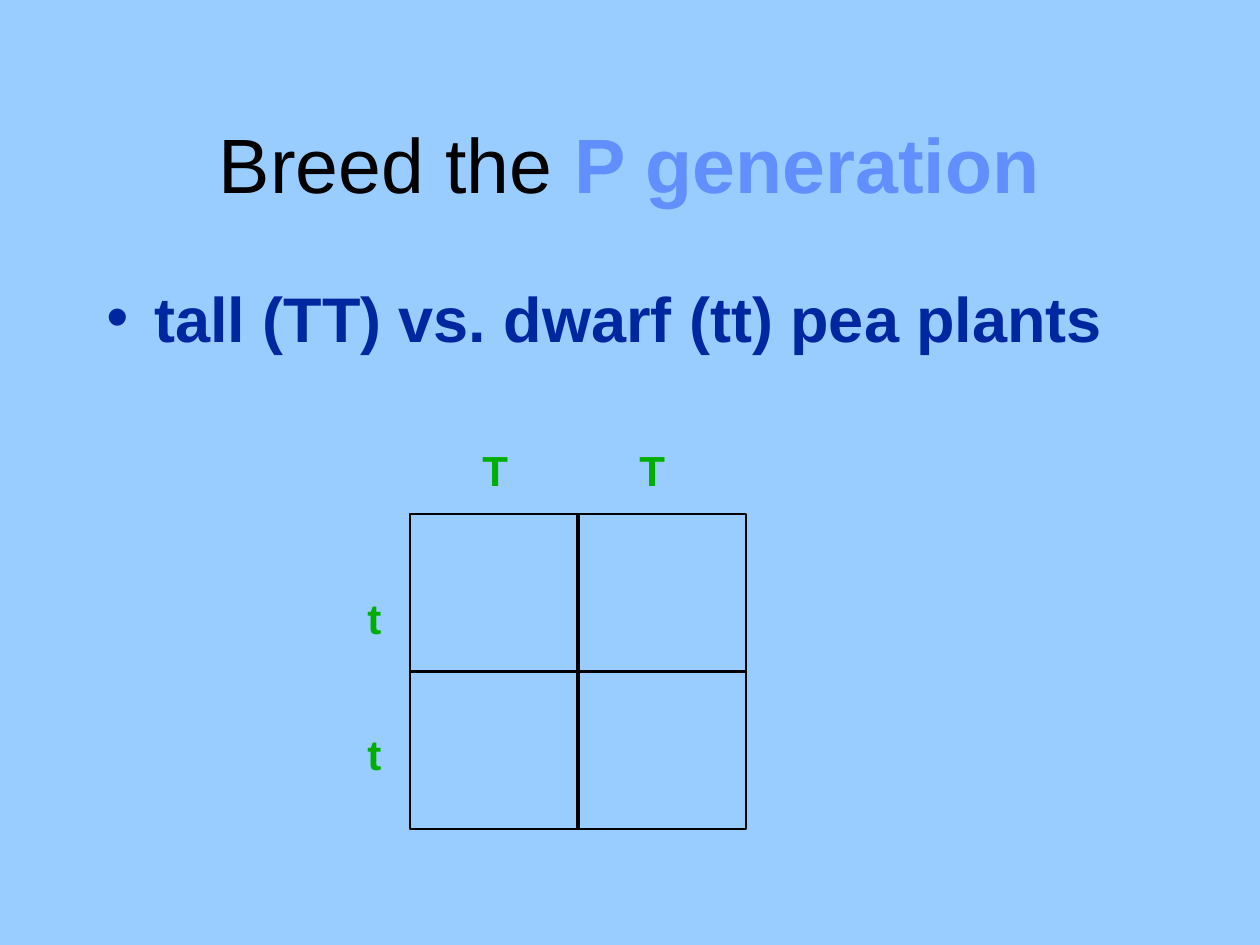
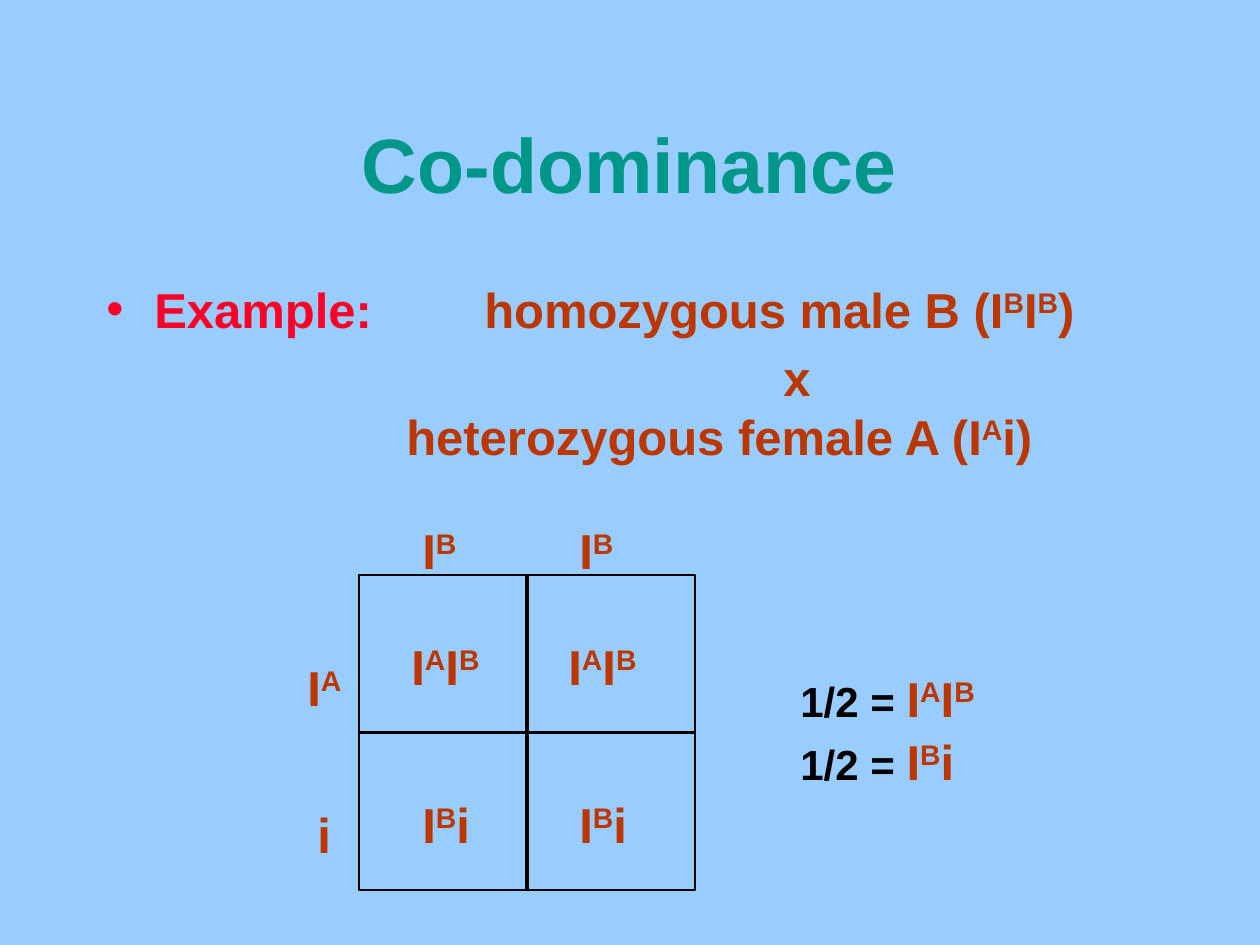
from lxml import etree
from pptx import Presentation
from pptx import util as u
from pptx.dml.color import RGBColor
from pptx.enum import shapes, text
from pptx.oxml.ns import qn

PX = 914400 / 126
FONT = "Arial"
SKY = RGBColor(0x99, 0xCC, 0xFF)
BLACK = RGBColor(0x00, 0x00, 0x00)
PERIWINKLE = RGBColor(0x61, 0x8F, 0xFD)
NAVY = RGBColor(0x00, 0x27, 0x9F)
GREEN = RGBColor(0x00, 0xAE, 0x00)
TEAL = RGBColor(0x00, 0x96, 0x88)
RED = RGBColor(0xFC, 0x01, 0x28)
RUST = RGBColor(0xBC, 0x37, 0x00)
SQUARE_WIDTH, SQUARE_HEIGHT = 336, 315
COLUMN_STEP = 157
HANG = 48


def px(*lengths):
    """Turn px lengths into EMU."""
    return [u.Emu(round(length * PX)) for length in lengths]


def write(paragraph, wording, size=28, color=RUST, bold=True):
    """Add text to a paragraph; parts between carets are superscript."""
    for index, part in enumerate(wording.split("^")):
        if not part:
            continue
        run = paragraph.add_run()
        run.text = part
        run.font.name, run.font.size = FONT, u.Pt(size)
        run.font.bold, run.font.color.rgb = bold, color
        if index % 2:
            run.font._element.set("baseline", "30000")


def add_title(slide, *runs):
    """Place the slide title and write its runs."""
    title = slide.shapes.title
    title.left, title.top, title.width, title.height = px(94, 84, 1071, 158)
    frame = title.text_frame
    frame.auto_size = text.MSO_AUTO_SIZE.NONE
    frame.vertical_anchor = text.MSO_ANCHOR.MIDDLE
    heading = frame.paragraphs[0]
    heading.alignment = text.PP_ALIGN.CENTER
    for wording, options in runs:
        write(heading, wording, size=44, **options)


def add_body(slide):
    """Add the wide text area under the title and return its frame."""
    frame = slide.shapes.add_textbox(*px(94, 273, 1071, 567)).text_frame
    frame.word_wrap = True
    return frame


def indent(paragraph, margin, first=0):
    """Set the left margin and first-line indent of a paragraph."""
    properties = paragraph._p.get_or_add_pPr()
    for key, length in zip(("marL", "indent"), px(margin, first)):
        properties.set(key, str(length))
    return properties


def make_bullet(paragraph, size, tab=None):
    """Give a paragraph a hanging bullet and an optional tab stop."""
    paragraph.space_before = u.Pt(size * 0.2)
    properties = indent(paragraph, HANG, -HANG)
    etree.SubElement(properties, qn("a:buFont"), typeface=FONT)
    etree.SubElement(properties, qn("a:buChar"), char="•")
    if tab:
        stops = etree.SubElement(properties, qn("a:tabLst"))
        etree.SubElement(stops, qn("a:tab"), pos=str(px(tab)[0]), algn="l")


def add_label(slide, left, top, width, *runs, height=71, before=0):
    """Add a one-line text made of (wording, options) runs."""
    frame = slide.shapes.add_textbox(*px(left, top, width, height)).text_frame
    frame.word_wrap = False
    frame.auto_size = text.MSO_AUTO_SIZE.SHAPE_TO_FIT_TEXT
    line = frame.paragraphs[0]
    line.space_before = u.Pt(before)
    for wording, options in runs:
        write(line, wording, **options)


def add_divider(slide, *ends):
    """Draw a black line without shadow between two points."""
    divider = slide.shapes.add_connector(shapes.MSO_CONNECTOR.STRAIGHT, *px(*ends))
    divider.line.color.rgb, divider.line.width = BLACK, u.Pt(2)
    etree.SubElement(divider._element.spPr, qn("a:effectLst"))


def add_punnett_square(slide, left, top):
    """Draw the framed square split into four cells."""
    right, bottom = left + SQUARE_WIDTH, top + SQUARE_HEIGHT
    middle, center = top + SQUARE_HEIGHT / 2, left + SQUARE_WIDTH / 2
    add_divider(slide, center, top, center, bottom)
    add_divider(slide, left, middle, right, middle)
    frame = slide.shapes.add_shape(
        shapes.MSO_SHAPE.RECTANGLE, *px(left, top, SQUARE_WIDTH, SQUARE_HEIGHT))
    frame.fill.background()
    frame.line.color.rgb, frame.line.width = BLACK, u.Pt(1)
    frame.shadow.inherit = False


def build_p_generation(slide):
    """Build the slide on breeding the P generation."""
    add_title(slide, ("Breed the ", dict(color=BLACK, bold=False)),
              ("P generation", dict(color=PERIWINKLE)))
    cross = add_body(slide).paragraphs[0]
    make_bullet(cross, 36)
    write(cross, "tall (TT) vs. dwarf (tt) pea plants", size=36, color=NAVY)

    allele = dict(size=24, color=GREEN)
    for top in (586, 722):
        add_label(slide, 355, top, 39, ("t", allele), height=63)
    for column in range(2):
        add_label(slide, 470 + column * COLUMN_STEP, 438, 50, ("T", allele), height=63)
    add_punnett_square(slide, 410, 514)


def build_codominance(slide):
    """Build the slide on co-dominance of blood types."""
    add_title(slide, ("Co-dominance", dict(color=TEAL)))
    body = add_body(slide)
    male = body.paragraphs[0]
    make_bullet(male, 28, tab=378)
    write(male, "Example:\t", color=RED)
    write(male, "homozygous male B (I^B^I^B^)")
    for wording, margin, before in (("x", 677, 5.6),
                                    ("heterozygous female A (I^A^i)", 300, 0)):
        parent = body.add_paragraph()
        indent(parent, margin)
        parent.space_before = u.Pt(before)
        write(parent, wording)

    for column in range(2):
        shift = column * COLUMN_STEP
        add_label(slide, 410 + shift, 514, 63, ("I^B^", {}))
        add_label(slide, 399 + shift, 630, 101, ("I^A^I^B^", {}), before=5.6)
        add_label(slide, 410 + shift, 788, 76, ("I^B^i", {}), before=5.6)
    add_label(slide, 295, 651, 63, ("I^A^", {}))
    add_label(slide, 305, 798, 39, ("i", {}))

    plain = dict(size=24, color=BLACK)
    add_label(slide, 788, 662, 207, ("1/2 = ", plain), ("I^A^I^B^", {}))
    add_label(slide, 788, 725, 194, ("1/2 = ", plain), ("I^B^i", {}), (" ", plain))
    add_punnett_square(slide, 359, 575)


def main():
    """Build and save the presentation."""
    deck = Presentation()
    deck.slide_width, deck.slide_height = px(1260, 945)
    backdrop = deck.slide_master.background.fill
    backdrop.solid()
    backdrop.fore_color.rgb = SKY
    for build in (build_p_generation, build_codominance):
        build(deck.slides.add_slide(deck.slide_layouts[5]))
    deck.save("out.pptx")


if __name__ == "__main__":
    main()
